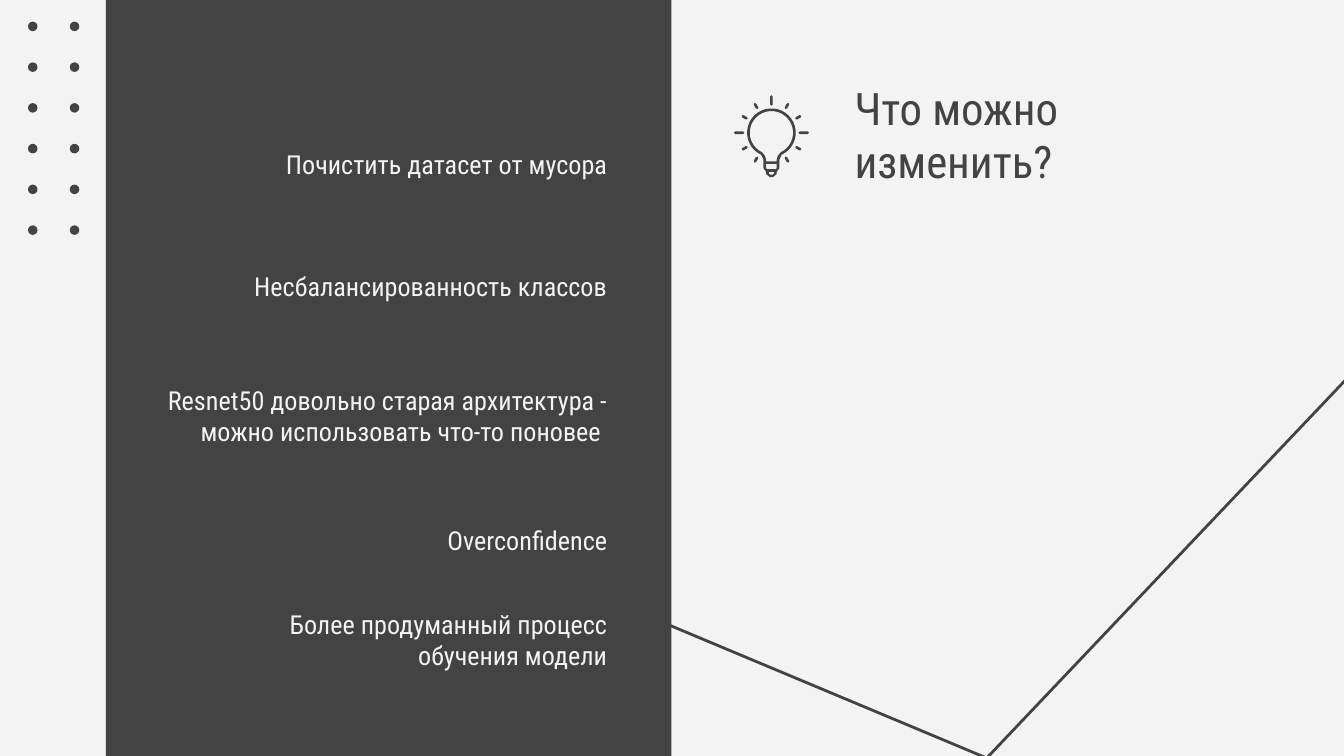
from math import cos, radians, sin

from pptx import Presentation
from pptx.dml.color import RGBColor
from pptx.enum.shapes import MSO_SHAPE
from pptx.enum.text import MSO_ANCHOR, MSO_AUTO_SIZE, PP_ALIGN
from pptx.util import Cm, Pt

DARK = RGBColor(0x43, 0x43, 0x43)
LIGHT = RGBColor(0xF3, 0xF3, 0xF3)
FONT = "Roboto Condensed"


def add_outline(s, contours, filled=True):
    """Draw contours given in cm as one freeform, filled or as an open line."""
    builder = None
    for contour in contours:
        points = [(Cm(x), Cm(y)) for x, y in contour]
        if builder is None:
            builder = s.shapes.build_freeform(*points[0])
        else:
            builder.move_to(*points[0])
        builder.add_line_segments(points[1:], close=filled)
    sp = builder.convert_to_shape()
    sp.shadow.inherit = False
    if filled:
        sp.fill.solid()
        sp.fill.fore_color.rgb = DARK
        sp.line.fill.background()
    else:
        sp.fill.background()
        sp.line.color.rgb = DARK
        sp.line.width = Pt(1.5)


def set_text(sp, text, size, color, align, anchor, insets):
    tf = sp.text_frame
    tf.text = text
    tf.word_wrap = True
    tf.auto_size = MSO_AUTO_SIZE.NONE
    tf.vertical_anchor = anchor
    tf.margin_left = tf.margin_right = Cm(0.25)
    tf.margin_top, tf.margin_bottom = [Cm(v) for v in insets]
    p = tf.paragraphs[0]
    p.alignment = align
    font = p.runs[0].font
    font.name, font.size, font.color.rgb = FONT, Pt(size), color
    return p


prs = Presentation()
prs.slide_width, prs.slide_height = Cm(25.4), Cm(14.29)
s = prs.slides.add_slide(prs.slide_layouts[5])
s.background.fill.solid()
s.background.fill.fore_color.rgb = LIGHT

# Angled line, dark panel and dot grid
add_outline(s, [[(2.7, 7.65), (18.65, 14.33), (25.5, 7.11)]], filled=False)

decor = [(MSO_SHAPE.RECTANGLE, 2.0, 0, 10.69, 14.29)]
decor += [(MSO_SHAPE.OVAL, 0.53 + 0.79 * col, 0.41 + 0.77 * row, 0.18, 0.18)
          for row in range(6) for col in range(2)]
for kind, *box in decor:
    sp = s.shapes.add_shape(kind, *[Cm(v) for v in box])
    sp.shadow.inherit = False
    sp.fill.solid()
    sp.fill.fore_color.rgb = DARK
    sp.line.fill.background()

# Points on the panel: text, width, top, height
RIGHT = 11.73
points = [
    ("Почистить датасет от мусора", 8.81, 1.78, 2.16),
    ("Несбалансированность классов", 7.67, 4.24, 1.83),
    ("Resnet50 довольно старая архитектура - можно использовать что-то поновее ",
     9.1, 6.53, 2.16),
    ("Overconfidence", 7.67, 9.04, 1.83),
    ("Более продуманный процесс обучения модели", 7.67, 10.92, 1.83),
]
for text, width, top, height in points:
    sp = s.shapes.add_textbox(Cm(RIGHT - width), Cm(top), Cm(width), Cm(height))
    p = set_text(sp, text, 14, LIGHT, PP_ALIGN.RIGHT, MSO_ANCHOR.MIDDLE, (0.5, 0))
    p.space_after = Pt(16)

# Light bulb: an outer contour with holes for the globe, the band and the tip
CX, CY = 14.58, 2.51
contours = []
for radius, neck in [
    (0.46, [(0.15, 3.02), (0.15, 3.18), (0.1, 3.25), (0.1, 3.29), (0.03, 3.35)]),
    (0.41, [(0.12, 2.95), (0.1, 3.02), (0.1, 3.05)]),
    (0, [(0.1, 3.1), (0.1, 3.18), (0.08, 3.2)]),
    (0, [(0.05, 3.25), (0.05, 3.28), (0.03, 3.3)]),
]:
    arc = [(CX + radius * cos(radians(a)), CY + radius * sin(radians(a)))
           for a in range(65, -246, -10)] if radius else []
    left = [(CX - dx, y) for dx, y in neck]
    right = [(CX + dx, y) for dx, y in reversed(neck)]
    contours.append(arc + left + right)
add_outline(s, contours)

# Rays every 30 degrees, longer on the axes, none below the bulb
HALF = 0.025
for angle in range(0, 360, 30):
    if angle == 90:
        continue
    start, end = (0.51, 0.71) if angle % 90 == 0 else (0.52, 0.65)
    c, n = cos(radians(angle)), sin(radians(angle))
    ray = [(start, 0), (start + HALF, HALF), (end - HALF, HALF),
           (end, 0), (end - HALF, -HALF), (start + HALF, -HALF)]
    add_outline(s, [[(CX + u * c - v * n, CY + u * n + v * c) for u, v in ray]])

# Title
title = s.shapes.title
title.left, title.top, title.width, title.height = Cm(15.9), Cm(1.27), Cm(7.67), Cm(3.71)
set_text(title, "Что можно изменить?", 24, DARK, PP_ALIGN.LEFT, MSO_ANCHOR.TOP, (0.25, 0.25))

prs.save("out.pptx")
